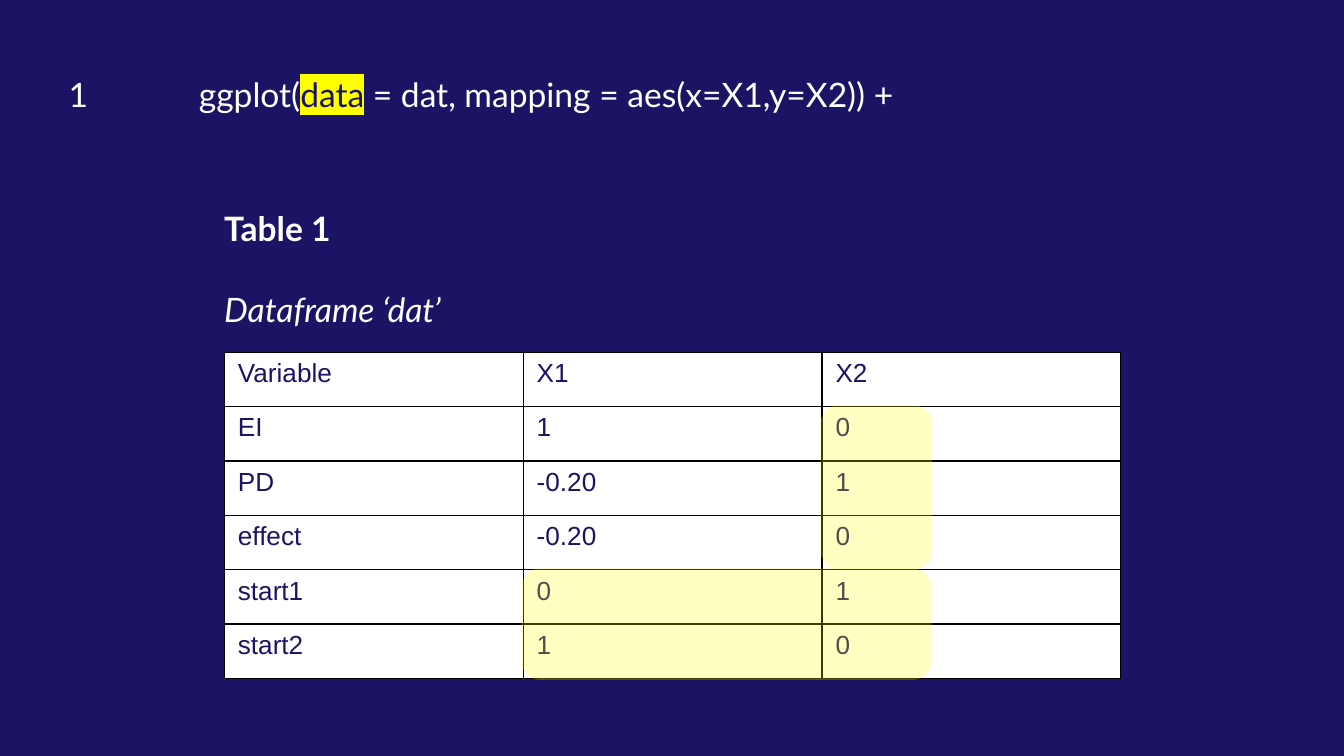
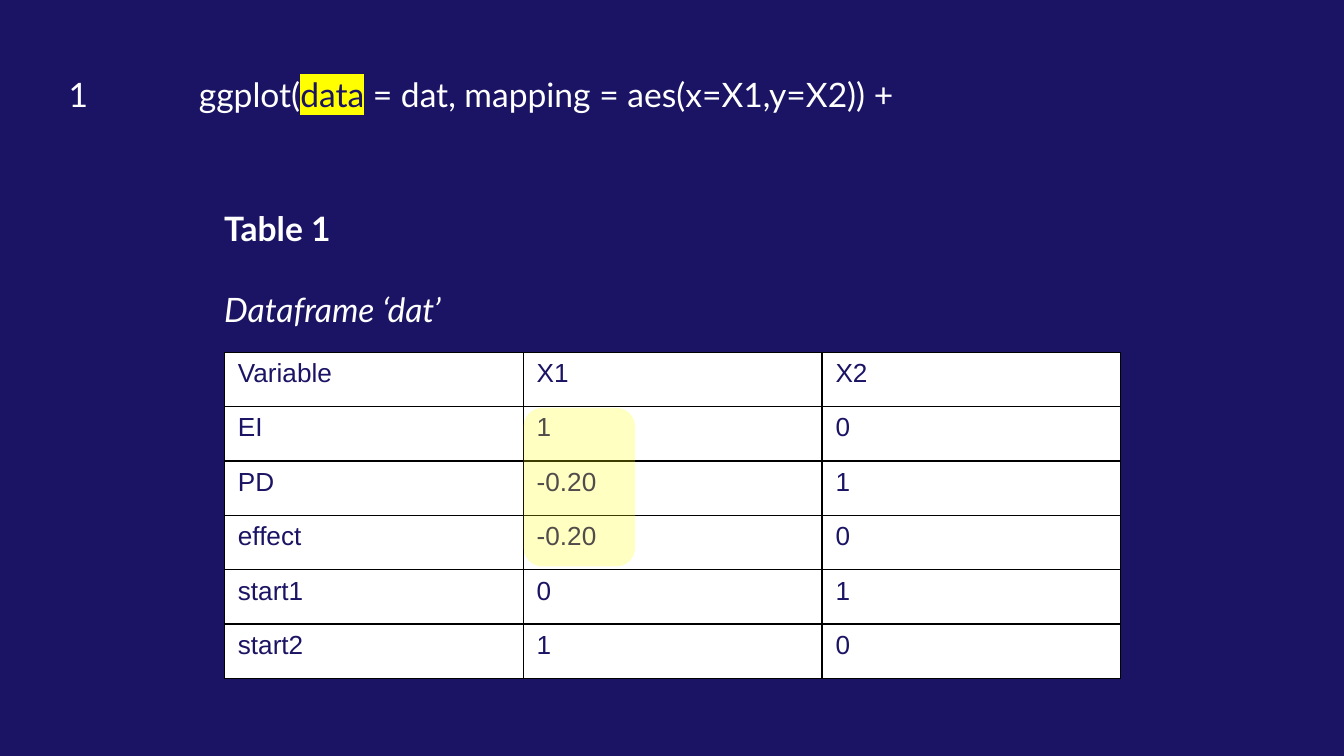
from lxml import etree
from pptx import Presentation
from pptx.dml.color import RGBColor
from pptx.enum.shapes import MSO_SHAPE
from pptx.enum.text import MSO_ANCHOR, MSO_AUTO_SIZE, PP_ALIGN
from pptx.oxml.ns import qn
from pptx.util import Inches, Pt

NAVY = RGBColor(0x1B, 0x14, 0x64)
WHITE = RGBColor(0xFF, 0xFF, 0xFF)
YELLOW = RGBColor(0xFF, 0xFF, 0x00)
BLACK = RGBColor(0x00, 0x00, 0x00)
ROUND = MSO_SHAPE.ROUNDED_RECTANGLE
TOP = MSO_ANCHOR.TOP
LEFT = PP_ALIGN.LEFT
FIXED = MSO_AUTO_SIZE.NONE
TITLE_ONLY = 5

CODE_BOX = (0.41, 0.24, 8.43, 3.6)
TABLE_BOX = (1.67, 2.62, 6.67, 2.43)
ROWS = [
    ("Variable", "X1", "X2"),
    ("EI", "1", "0"),
    ("PD", "-0.20", "1"),
    ("effect", "-0.20", "0"),
    ("start1", "0", "1"),
    ("start2", "1", "0"),
]
SLIDES = [
    (1.39, [((3.88, 4.23, 3.05, 0.83), 0), ((5.91, 3.21, 1.22, 0.83), 90)]),
    (1.3, [((3.72, 3.21, 1.18, 0.83), 90)]),
]


def inches(box):
    """Turn a box of numbers into lengths."""
    return [Inches(side) for side in box]


def add_color(parent, tag, color):
    """Add an element that holds one colour and return the colour node."""
    node = etree.SubElement(parent, qn(tag))
    return etree.SubElement(node, qn("a:srgbClr"), val=str(color))


def set_frame(frame):
    """Give a text frame the shared insets, wrap and anchor."""
    frame.word_wrap = True
    frame.auto_size = FIXED
    frame.vertical_anchor = TOP
    frame.margin_left = frame.margin_right = frame.margin_bottom = Inches(0.1)
    frame.margin_top = Inches(0.31)


def set_font(font, name, size, color):
    """Set name, size and colour of a font."""
    font.name = name
    font.size = Pt(size)
    font.color.rgb = color


def add_code(slide, box):
    """Write the numbered code line in the title, with one word marked."""
    title = slide.shapes.title
    title.left, title.top, title.width, title.height = inches(box)
    set_frame(title.text_frame)
    line = title.text_frame.paragraphs[0]
    tabs = etree.SubElement(line._p.get_or_add_pPr(), qn("a:tabLst"))
    etree.SubElement(tabs, qn("a:tab"), pos=str(Inches(0.97)), algn="l")
    line.alignment = LEFT
    line.line_spacing = 1.0
    set_font(line.font, "Lato", 18, WHITE)
    for text in ("1\tggplot(", "data", " = dat, mapping = aes(x=X1,y=X2)) +"):
        run = line.add_run()
        run.text = text
        if text == "data":
            run.font.color.rgb = NAVY
            add_color(run._r.get_or_add_rPr(), "a:highlight", YELLOW)


def add_border(cell):
    """Draw a thin black line on each side of a cell."""
    props = cell._tc.get_or_add_tcPr()
    for side in "LRTB":
        line = etree.SubElement(props, qn("a:ln" + side), w=str(Pt(0.75)))
        add_color(line, "a:solidFill", BLACK)


def add_data(slide, box):
    """Add the data table with equal rows and columns."""
    frame = slide.shapes.add_table(len(ROWS), len(ROWS[0]), *inches(box))
    table = frame.table
    table.first_row = table.horz_banding = False
    for r, row in enumerate(ROWS):
        for c, text in enumerate(row):
            cell = table.cell(r, c)
            add_border(cell)
            cell.fill.solid()
            cell.fill.fore_color.rgb = WHITE
            cell.text = text
            set_font(cell.text_frame.paragraphs[0].font, "Arial", 14, NAVY)


def add_caption(slide, box):
    """Write the table number and the table name."""
    frame = slide.shapes.add_textbox(*inches(box)).text_frame
    set_frame(frame)
    frame.text = "Table 1\nDataframe ‘dat’"
    label, name = frame.paragraphs
    for line in (label, name):
        set_font(line.font, "Lato", 18, WHITE)
    label.font.bold = True
    name.font.italic = True
    name.space_before = Pt(21.6)


def add_mark(slide, box, turn):
    """Lay a clear yellow marker over some cells."""
    mark = slide.shapes.add_shape(ROUND, *inches(box))
    mark.rotation = turn
    mark.shadow.inherit = False
    mark.line.fill.background()
    mark.fill.solid()
    mark.fill.fore_color.rgb = YELLOW
    color = mark._element.spPr.find(qn("a:solidFill"))[0]
    etree.SubElement(color, qn("a:alpha"), val="24000")


def add_slide(deck, height, marks):
    """Build one slide: code line, table, caption and markers."""
    slide = deck.slides.add_slide(deck.slide_layouts[TITLE_ONLY])
    add_code(slide, CODE_BOX)
    add_data(slide, TABLE_BOX)
    add_caption(slide, (1.57, 1.24, 8.43, height))
    for box, turn in marks:
        add_mark(slide, box, turn)


def main():
    """Build and save the deck."""
    deck = Presentation()
    deck.slide_width = Inches(10)
    deck.slide_height = Inches(10 * 9 / 16)
    back = deck.slide_master.background.fill
    back.solid()
    back.fore_color.rgb = NAVY
    for height, marks in SLIDES:
        add_slide(deck, height, marks)
    deck.save("out.pptx")


if __name__ == "__main__":
    main()
